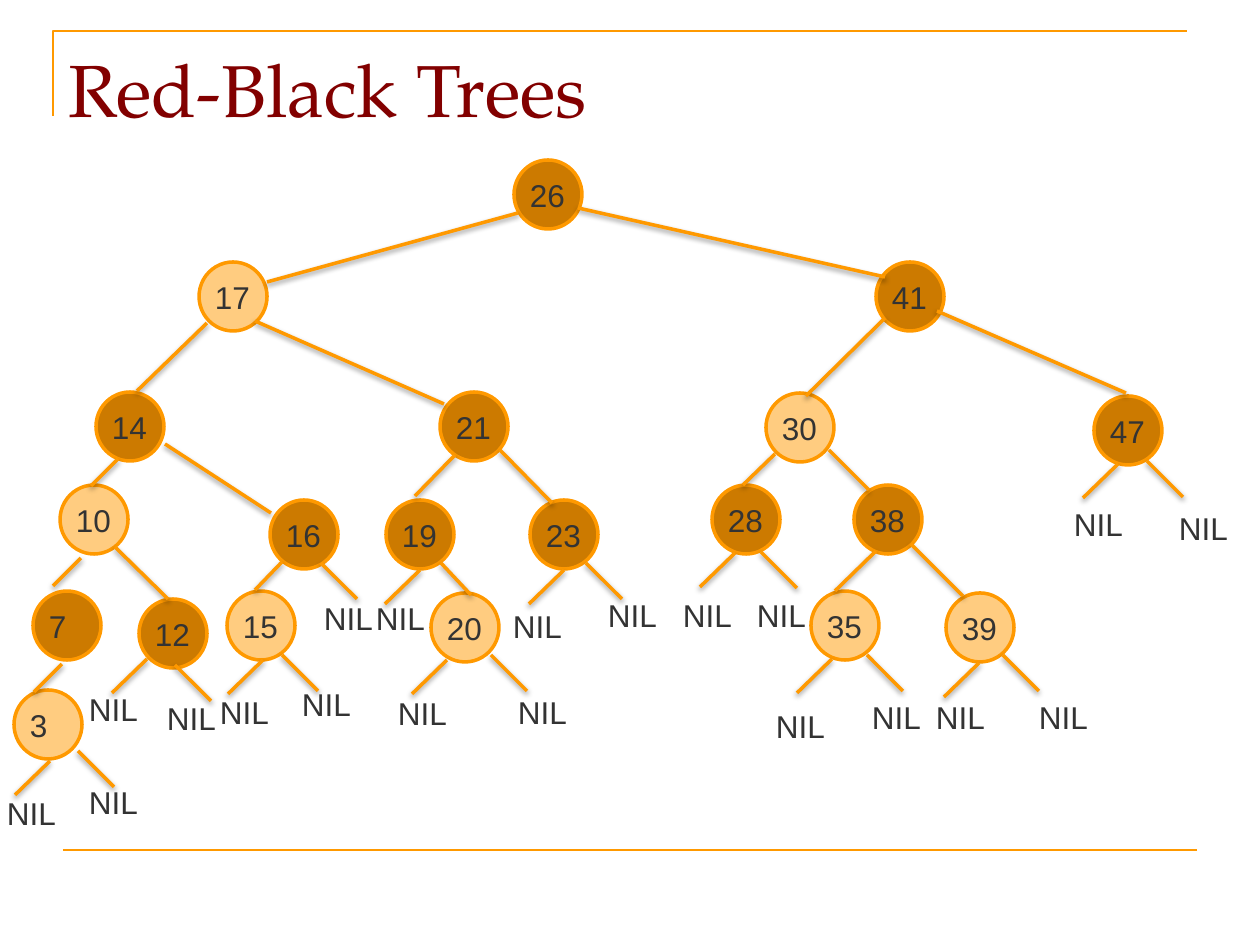
import pptx
import pptx.util
import pptx.dml.color
import pptx.enum.shapes
import pptx.enum.text
import pptx.oxml
import pptx.oxml.ns

PX = 914400 // 126
HUE = {"edge": "FF9900", "black": "CC7A00", "red": "FFCC80",
       "text": "333333", "title": "820000", "shade": "000000"}
NODE_W, NODE_H = 68, 69

# value: left, top, colour
NODES = {
    26: (514, 160, "black"), 17: (199, 262, "red"), 41: (876, 262, "black"),
    14: (96, 392, "black"), 21: (440, 392, "black"), 30: (766, 393, "red"),
    47: (1094, 396, "black"), 10: (60, 485, "red"), 7: (33, 591, "black"),
    3: (14, 690, "red"), 12: (139, 599, "black"), 16: (270, 500, "black"),
    15: (227, 591, "red"), 19: (386, 500, "black"), 23: (530, 500, "black"),
    20: (431, 593, "red"), 28: (712, 485, "black"), 38: (854, 485, "black"),
    35: (811, 591, "red"), 39: (946, 593, "red"),
}

# (parent, child): start and end of the edge
EDGES = {
    (26, 17): (518, 213, 267, 282), (26, 41): (578, 208, 885, 277),
    (17, 14): (207, 323, 137, 391), (17, 21): (255, 321, 444, 404),
    (14, 10): (118, 459, 91, 486), (14, 16): (165, 444, 271, 513),
    (16, 15): (282, 562, 255, 590), (10, 7): (81, 558, 53, 586),
    (10, 12): (115, 547, 168, 599), (7, 3): (62, 664, 34, 692),
    (21, 19): (455, 455, 415, 496), (38, 39): (911, 544, 963, 596),
    (19, 20): (441, 563, 471, 595), (41, 30): (885, 318, 806, 396),
    (41, 47): (937, 311, 1126, 393), (30, 28): (775, 454, 743, 485),
    (30, 38): (829, 450, 869, 490), (38, 35): (876, 551, 835, 591),
    (21, 23): (500, 450, 552, 503),
}

# Each leaf: parent, top of its stub, corner of its label
STEPS = {"left": (-35, 34), "right": (36, 36)}
LEAVES = {
    "left": [
        (3, 50, 761, 1, 788), (12, 147, 659, 83, 684),
        (15, 263, 660, 214, 687), (19, 420, 570, 370, 593),
        (23, 564, 570, 507, 601), (28, 735, 553, 677, 590),
        (35, 832, 659, 770, 701), (39, 979, 663, 930, 692),
        (47, 1118, 464, 1068, 499), (20, 447, 660, 392, 688)],
    "right": [
        (12, 175, 665, 161, 693), (3, 78, 751, 83, 777),
        (15, 282, 655, 296, 679), (16, 321, 563, 318, 593),
        (20, 491, 655, 512, 687), (23, 586, 563, 602, 590),
        (28, 761, 552, 751, 590), (35, 867, 655, 866, 692),
        (39, 1003, 655, 1033, 692), (47, 1147, 461, 1173, 503)],
}


def color(name):
    return pptx.dml.color.RGBColor.from_string(HUE[name])


def stroke(item, width):
    item.line.color.rgb = color("edge")
    item.line.width = pptx.util.Pt(width)


def write(slide, text, x, y, w, h, size=18, font="Arial", hue="text"):
    box = slide.shapes.add_textbox(x * PX, y * PX, w * PX, h * PX)
    frame = box.text_frame
    frame.word_wrap = True
    frame.vertical_anchor = pptx.enum.text.MSO_ANCHOR.TOP
    frame.margin_left = frame.margin_top = frame.margin_bottom = 6 * PX
    frame.margin_right = 0
    run = frame.paragraphs[0].add_run()
    run.text = text
    run.font.size = pptx.util.Pt(size)
    run.font.name = font
    run.font.color.rgb = color(hue)


def link(slide, x1, y1, x2, y2, width=2, shadow=True):
    line = slide.shapes.add_connector(
        pptx.enum.shapes.MSO_CONNECTOR.STRAIGHT,
        x1 * PX, y1 * PX, x2 * PX, y2 * PX)
    stroke(line, width)
    shade = (
        '<a:outerShdw blurRad="38100" dist="20000" dir="5400000" rotWithShape="0">'
        f'<a:srgbClr val="{HUE["shade"]}"><a:alpha val="38000"/></a:srgbClr>'
        '</a:outerShdw>') if shadow else ""
    line._element.spPr.append(pptx.oxml.parse_xml(
        f'<a:effectLst {pptx.oxml.ns.nsdecls("a")}>{shade}</a:effectLst>'))


def frame(slide, x, y, w, h):
    # Corner rule above, straight rule below
    pen = slide.shapes.build_freeform(x * PX, (y + 85) * PX, scale=1.0)
    pen.add_line_segments(
        [(x * PX, y * PX), ((x + w) * PX, y * PX)], close=False)
    rule = pen.convert_to_shape()
    rule.fill.background()
    rule.shadow.inherit = False
    stroke(rule, 1.5)
    link(slide, x + 10, y + h, x + 10 + w, y + h, width=1.5, shadow=False)


def node(slide, value, x, y, hue):
    disc = slide.shapes.add_shape(
        pptx.enum.shapes.MSO_SHAPE.OVAL,
        x * PX, y * PX, NODE_W * PX, NODE_H * PX)
    disc.shadow.inherit = False
    disc.fill.solid()
    disc.fill.fore_color.rgb = color(hue)
    stroke(disc, 2)
    write(slide, str(value), x + 10, y + 10, 48, 48)


def tree(slide, x, y):
    for value, (left, top, hue) in NODES.items():
        node(slide, value, x + left, y + top, hue)
    for x1, y1, x2, y2 in EDGES.values():
        link(slide, x + x1, y + y1, x + x2, y + y2)
    # Stubs and their empty leaves
    for side, (dx, dy) in STEPS.items():
        for _, sx, sy, tx, ty in LEAVES[side]:
            link(slide, x + sx, y + sy, x + sx + dx, y + sy + dy)
            write(slide, "NIL", x + tx, y + ty, 63, 48)


deck = pptx.Presentation()
deck.slide_width = pptx.util.Inches(10)
deck.slide_height = pptx.util.Inches(7.5)
page = deck.slides.add_slide(deck.slide_layouts[6])
frame(page, 53, 31, 1134, 819)
write(page, "Red-Black Trees", 63, 38, 1134, 130,
      size=42, font="TeX Gyre Pagella", hue="title")
tree(page, 0, 0)
deck.save("out.pptx")
